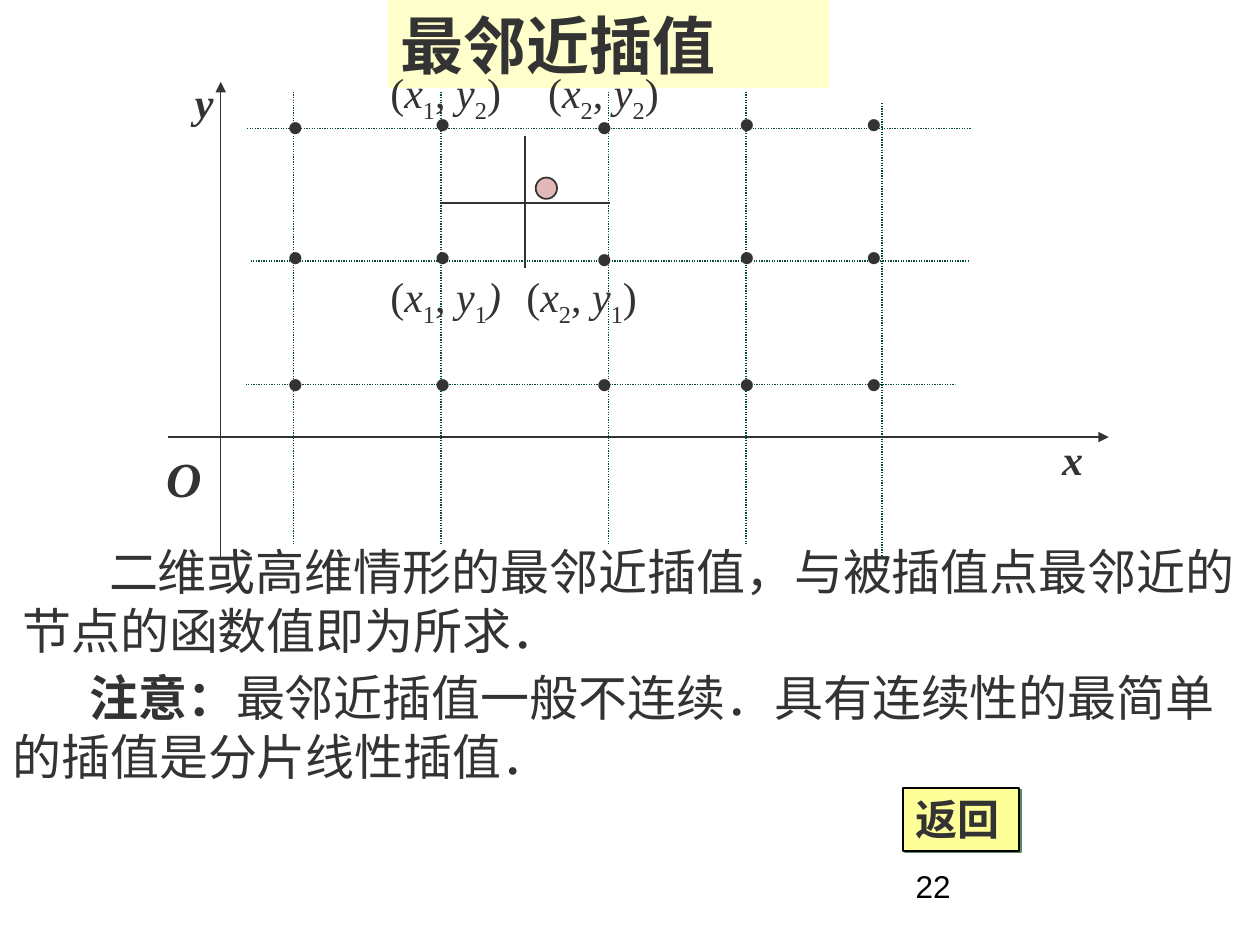
"""Build the slide on nearest-neighbour interpolation over a rectangular grid."""
from dataclasses import dataclass

from lxml import etree
from pptx import Presentation
from pptx import util as u
from pptx.dml.color import RGBColor
from pptx.enum import dml, shapes, text
from pptx.oxml import ns

INK = "333333"
GRID = "004C2B"
SERIF = "Times New Roman"
CHINESE = "Noto Sans CJK SC"


@dataclass(frozen=True)
class Box:
    left: float
    top: float
    width: float
    height: float

    @property
    def lengths(self) -> list:
        return [u.Cm(value) for value in (self.left, self.top, self.width, self.height)]


@dataclass(frozen=True)
class Style:
    size: float = 24
    font: str = SERIF
    color: str = INK
    bold: bool = False
    italic: bool = False


@dataclass(frozen=True)
class Piece:
    words: str
    bold: bool | None = None
    italic: bool | None = None
    subscript: bool = False


@dataclass(frozen=True)
class Line:
    start: tuple[float, float]
    end: tuple[float, float]
    color: str = INK
    width: float = 0.75
    dotted: bool = False
    arrow: bool = False


@dataclass(frozen=True)
class NodeLabel:
    box: Box
    column: str
    row: str
    slanted_end: bool = False


def paint(target, color: str) -> None:
    target.rgb = RGBColor.from_string(color)


def add_child(parent, tag: str, **attributes: str):
    return etree.SubElement(parent, ns.qn(tag), attributes)


def write_paragraph(paragraph, pieces: list[Piece], style: Style, indent: float = 0) -> None:
    paragraph.alignment = text.PP_ALIGN.LEFT
    font = paragraph.font
    font.size, font.name = u.Pt(style.size), style.font
    font.bold, font.italic = style.bold, style.italic
    paint(font.color, style.color)
    properties = paragraph._p.get_or_add_pPr()
    add_child(properties.get_or_add_defRPr(), "a:ea", typeface=CHINESE)
    if indent:
        properties.set("marL", "0")
        properties.set("indent", str(u.Cm(indent)))
    for piece in pieces:
        run = paragraph.add_run()
        run.text = piece.words
        run.font.bold, run.font.italic = piece.bold, piece.italic
        if piece.subscript:
            run._r.get_or_add_rPr().set("baseline", "-25000")


def prepare_frame(shape, wrap: bool = True):
    frame = shape.text_frame
    frame.word_wrap = wrap
    frame.vertical_anchor = text.MSO_ANCHOR.TOP
    return frame


def add_text(parent, box: Box, pieces: list[Piece], style: Style,
             indent: float = 0, wrap: bool = True):
    frame = prepare_frame(parent.add_textbox(*box.lengths), wrap)
    write_paragraph(frame.paragraphs[0], pieces, style, indent)
    return frame


def add_filled(parent, kind, box: Box, fill: str, outline: str | None = None):
    shape = parent.add_shape(kind, *box.lengths)
    shape.shadow.inherit = False
    shape.fill.solid()
    paint(shape.fill.fore_color, fill)
    if outline:
        paint(shape.line.color, outline)
        shape.line.width = u.Pt(1)
    else:
        shape.line.fill.background()
    return shape


def add_panel(parent, box: Box, fill: str, words: str, style: Style, outline: str | None = None):
    shape = add_filled(parent, shapes.MSO_SHAPE.RECTANGLE, box, fill, outline)
    write_paragraph(prepare_frame(shape).paragraphs[0], [Piece(words)], style)
    return shape


def add_line(parent, line: Line) -> None:
    ends = [u.Cm(value) for value in line.start + line.end]
    connector = parent.add_connector(shapes.MSO_CONNECTOR.STRAIGHT, *ends)
    paint(connector.line.color, line.color)
    connector.line.width = u.Pt(line.width)
    if line.dotted:
        connector.line.dash_style = dml.MSO_LINE.ROUND_DOT
    if line.arrow:
        add_child(connector.line._get_or_add_ln(), "a:tailEnd", type="triangle")
    add_child(connector._element.spPr, "a:effectLst")


def add_shadow(shape, color: str) -> None:
    effects = shape._element.spPr.find(ns.qn("a:effectLst"))
    shadow = add_child(effects, "a:outerShdw", dist=str(u.Pt(1.4)), dir="2700000", algn="ctr")
    add_child(shadow, "a:srgbClr", val=color)


def add_node_label(parent, label: NodeLabel) -> None:
    pieces = [Piece("("), Piece("x", italic=True), Piece(label.column, subscript=True),
              Piece(", "), Piece("y", italic=True), Piece(label.row, subscript=True),
              Piece(")", italic=label.slanted_end)]
    add_text(parent, label.box, pieces, Style())


def draw_grid(parent) -> None:
    axis_style = Style(bold=True, italic=True)
    add_text(parent, Box(21.16, 8.61, 2.31, 1.27), [Piece("x")], axis_style)
    add_text(parent, Box(3.68, 1.42, 1.75, 1.27), [Piece("y")], axis_style)
    add_text(parent, Box(3.1, 8.92, 1.22, 1.45), [Piece("O")],
             Style(28, bold=True, italic=True), wrap=False)
    add_line(parent, Line((3.38, 8.81), (22.35, 8.81), arrow=True))
    add_line(parent, Line((4.45, 11.23), (4.45, 1.65), arrow=True))

    for left, right, y in ((4.98, 19.58, 2.59), (5.05, 19.51, 5.26), (4.95, 19.25, 7.75)):
        add_line(parent, Line((left, y), (right, y), GRID, dotted=True))
    for x, top in ((5.92, 1.85), (8.89, 1.85), (12.27, 1.85), (15.04, 1.85), (17.78, 2.08)):
        add_line(parent, Line((x, top), (x, top + 9.15), GRID, dotted=True))

    columns = (5.56, 8.53, 11.79, 14.66, 17.22)
    rows = ((1.9, 1.85, 1.9, 1.85, 1.85), (4.52, 4.52, 4.57, 4.52, 4.52), (7.09,) * 5)
    for tops in rows:
        for left, top in zip(columns, tops):
            add_text(parent, Box(left, top, 1.75, 1.27), [Piece("•")],
                     Style(font="Arial", bold=True))

    for label in (NodeLabel(Box(7.62, 5.33, 3.38, 1.42), "1", "1", True),
                  NodeLabel(Box(7.62, 1.22, 3.38, 1.42), "1", "2"),
                  NodeLabel(Box(10.36, 5.33, 3.18, 1.42), "2", "1"),
                  NodeLabel(Box(10.8, 1.22, 4.24, 1.42), "2", "2")):
        add_node_label(parent, label)
    add_filled(parent, shapes.MSO_SHAPE.OVAL, Box(10.8, 3.58, 0.43, 0.43), "E1B7B7", INK)
    add_line(parent, Line((10.58, 2.74), (10.58, 5.41), width=1))
    add_line(parent, Line((8.86, 4.09), (12.29, 4.09), width=1))


def main() -> None:
    presentation = Presentation()
    presentation.slide_width, presentation.slide_height = u.Cm(25.4), u.Cm(19.05)
    slide = presentation.slides.add_slide(presentation.slide_layouts[6])
    body = Style(28)

    add_text(slide.shapes, Box(0, 13.34, 25.4, 2.64),
             [Piece("注意：", bold=True),
              Piece("最邻近插值一般不连续．具有连续性的最简单的插值是分片线性插值．")],
             body, indent=1.55)
    add_panel(slide.shapes, Box(7.82, 0, 8.89, 1.78), "FFFFCC", "最邻近插值",
              Style(36, CHINESE, bold=True))
    draw_grid(slide.shapes.add_group_shape().shapes)
    frame = add_text(slide.shapes, Box(0.2, 10.8, 25.2, 5.61),
                     [Piece("二维或高维情形的最邻近插值，与被插值点最邻近的")], body, indent=1.75)
    write_paragraph(frame.add_paragraph(), [Piece("节点的函数值即为所求．")], body)
    button = add_panel(slide.shapes, Box(18.21, 15.88, 2.34, 1.27), "FFFF99", "返回",
                       Style(bold=True), "000000")
    add_shadow(button, "578963")
    add_text(slide.shapes, Box(18.21, 17.35, 5.28, 1.27), [Piece("22")],
             Style(18, "Arial", "000000"))
    presentation.save("out.pptx")


if __name__ == "__main__":
    main()
